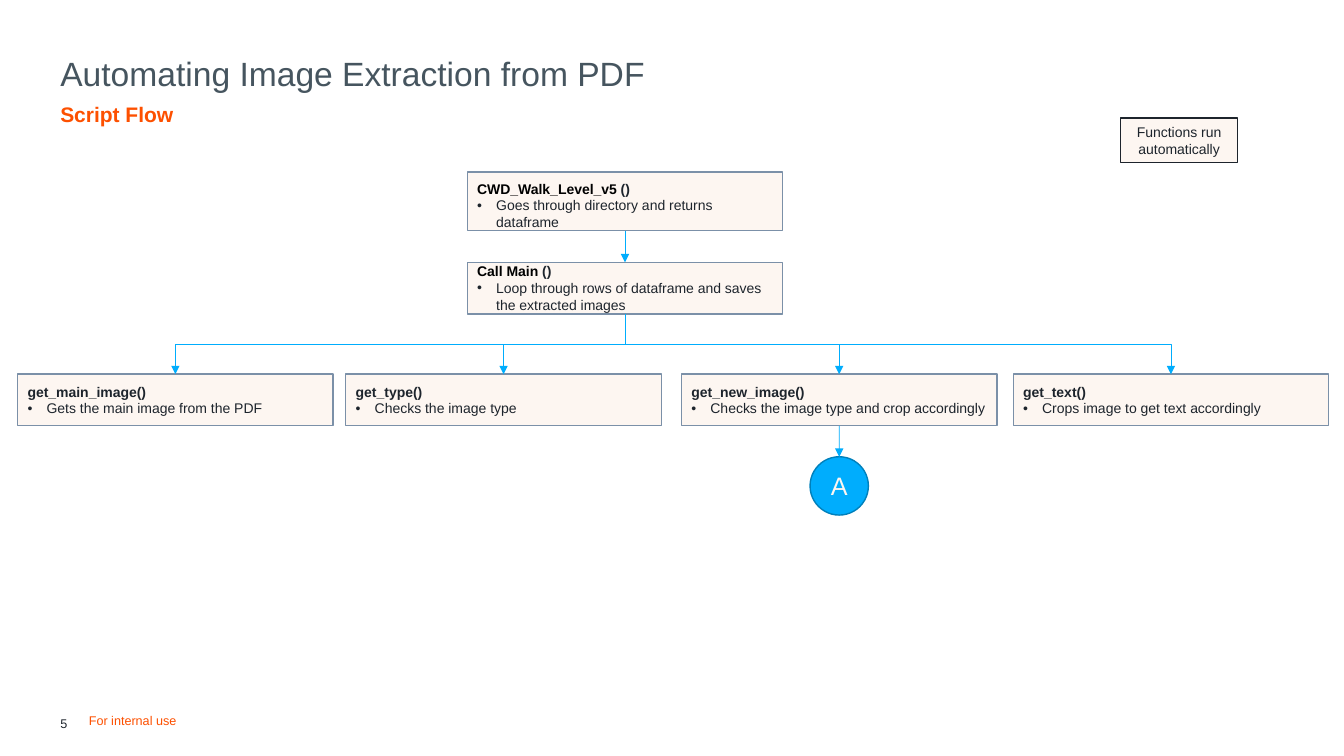
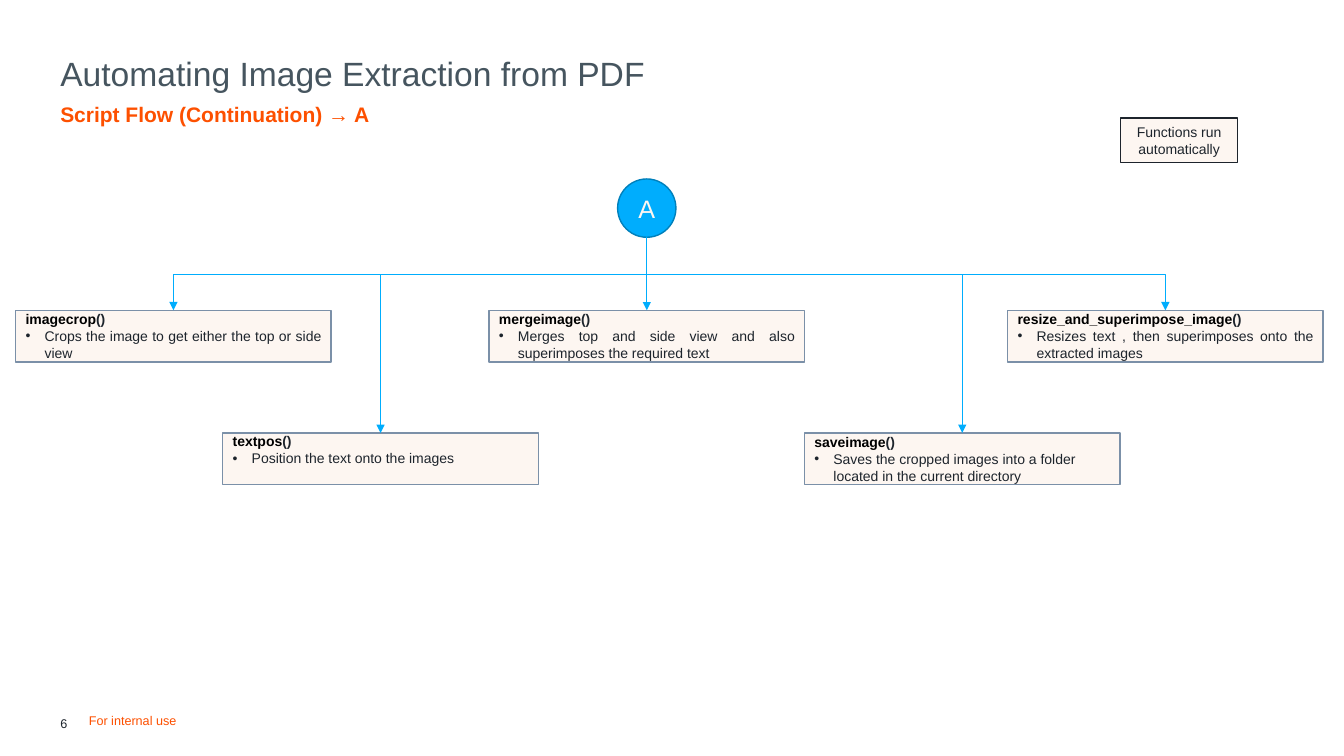
from dataclasses import dataclass

from lxml.etree import SubElement
from pptx import Presentation
from pptx.dml.color import RGBColor
from pptx.enum.shapes import MSO_CONNECTOR as Link, MSO_SHAPE as Preset
from pptx.enum.text import MSO_ANCHOR as Anchor, PP_ALIGN as Align
from pptx.oxml.ns import qn
from pptx.util import Cm, Pt

COLORS = {
    "title": "46555F",
    "accent": "FD5000",
    "ink": "1D242C",
    "black": "000000",
    "cream": "FDF6F1",
    "box_line": "7B90A8",
    "blue": "00ADFD",
    "blue_line": "0080BB",
}
FONT = "Arial"
TITLE = "Automating Image Extraction from PDF"
BOX_WIDTH = 7.95
BOX_HEIGHT = 1.3
CIRCLE_SIZE = 1.47
SIDE_INSET = 0.25
BULLET_INDENT = 0.48
RECT_BOTTOM, ELLIPSE_BOTTOM = 2, 4


@dataclass(frozen=True)
class Step:
    """A function box, placed by its centre line and top edge in cm."""
    name: str
    purpose: str
    center: float
    top: float
    height: float = BOX_HEIGHT
    name_color: str = "black"
    align: Align = Align.LEFT
    above: float = 0
    below: float = 0


CALLS_TOP = 9.43
WALK = Step("CWD_Walk_Level_v5 ", "Goes through directory and returns dataframe",
            15.75, 4.34, height=1.47, above=0.2)
MAIN = Step("Call Main ", "Loop through rows of dataframe and saves the extracted images",
            15.75, 6.61)
GET_NEW_IMAGE = Step("get_new_image", "Checks the image type and crop accordingly",
                     21.15, CALLS_TOP, name_color="ink")
OTHER_CALLS = [
    Step("get_main_image", "Gets the main image from the PDF", 4.42, CALLS_TOP, name_color="ink"),
    Step("get_type", "Checks the image type", 12.69, CALLS_TOP, name_color="ink"),
    Step("get_text", "Crops image to get text accordingly", 29.51, CALLS_TOP, name_color="ink"),
]

UPPER_TOP, LOWER_TOP = 7.82, 10.91
IMAGE_STEPS = [
    Step("imagecrop", "Crops the image to get either the top or side view",
         4.37, UPPER_TOP, align=Align.JUSTIFY),
    Step("textpos", "Position the text onto the images", 9.59, LOWER_TOP, below=0.45),
    Step("mergeimage", "Merges top and side view and also superimposes the required text",
         16.3, UPPER_TOP, align=Align.JUSTIFY),
    Step("saveimage", "Saves the cropped images into a folder located in the current directory",
         24.25, LOWER_TOP),
    Step("resize_and_superimpose_image",
         "Resizes text , then superimposes onto the extracted images",
         29.37, UPPER_TOP, align=Align.JUSTIFY),
]


def rgb(color: str) -> RGBColor:
    return RGBColor.from_string(COLORS[color])


def write(paragraph, text: str, *, size: float = 10, color: str = "ink",
          bold: bool = False, align: Align = Align.LEFT) -> None:
    paragraph.alignment = align
    run = paragraph.add_run()
    run.text = text
    run.font.name = FONT
    run.font.size = Pt(size)
    run.font.bold = bold
    run.font.color.rgb = rgb(color)


def set_frame(frame, anchor: Anchor, side: float = 0, above: float = 0, below: float = 0) -> None:
    frame.word_wrap = True
    frame.vertical_anchor = anchor
    frame.margin_left = frame.margin_right = Cm(side)
    frame.margin_top, frame.margin_bottom = Cm(above), Cm(below)


def add_label(slide, text: str, left: float, top: float, width: float, height: float, **style):
    """Add an inset-free text box and return its paragraph."""
    frame = slide.shapes.add_textbox(Cm(left), Cm(top), Cm(width), Cm(height)).text_frame
    set_frame(frame, Anchor.TOP)
    write(frame.paragraphs[0], text, **style)
    return frame.paragraphs[0]


def add_panel(slide, preset: Preset, left: float, top: float, width: float, height: float,
              fill: str, line: str):
    panel = slide.shapes.add_shape(preset, Cm(left), Cm(top), Cm(width), Cm(height))
    panel.shadow.inherit = False
    panel.fill.solid()
    panel.fill.fore_color.rgb = rgb(fill)
    panel.line.color.rgb = rgb(line)
    panel.line.width = Pt(1)
    return panel


def add_bullet(paragraph) -> None:
    properties = paragraph._p.get_or_add_pPr()
    properties.set("marL", str(Cm(BULLET_INDENT)))
    properties.set("indent", str(-Cm(BULLET_INDENT)))
    SubElement(properties, qn("a:buFont"), typeface=FONT)
    SubElement(properties, qn("a:buChar"), char="•")


def add_step(slide, step: Step):
    box = add_panel(slide, Preset.RECTANGLE, step.center - BOX_WIDTH / 2, step.top,
                    BOX_WIDTH, step.height, "cream", "box_line")
    frame = box.text_frame
    set_frame(frame, Anchor.MIDDLE, SIDE_INSET, step.above, step.below)
    heading = frame.paragraphs[0]
    write(heading, step.name, color=step.name_color, bold=True)
    write(heading, "()", bold=True)
    purpose = frame.add_paragraph()
    write(purpose, step.purpose, align=step.align)
    add_bullet(purpose)
    return box


def add_junction(slide, center: float, top: float):
    """Add the circle that carries the flow from one slide to the next."""
    circle = add_panel(slide, Preset.OVAL, center - CIRCLE_SIZE / 2, top,
                       CIRCLE_SIZE, CIRCLE_SIZE, "blue", "blue_line")
    set_frame(circle.text_frame, Anchor.MIDDLE)
    write(circle.text_frame.paragraphs[0], "A", size=18, color="cream", align=Align.CENTER)
    return circle


def add_arrow(slide, source, target, turn: float = 0, site: int = RECT_BOTTOM) -> None:
    """Link source's bottom to target's top, turning sideways `turn` cm below source."""
    start_x, start_y = source.left + source.width // 2, source.top + source.height
    end_x, end_y = target.left + target.width // 2, target.top
    across, down = end_x - start_x, end_y - start_y
    bent = abs(across) > Cm(0.05)
    arrow = slide.shapes.add_connector(Link.ELBOW if bent else Link.STRAIGHT,
                                       start_x, start_y, end_x, end_y)
    arrow.begin_connect(source, RECT_BOTTOM)
    arrow.end_connect(target, 0)
    arrow.element.find(".//" + qn("a:stCxn")).set("idx", str(site))
    properties = arrow.element.spPr
    if bent:
        # An elbow leaves sideways by default, so it is turned to leave downwards.
        arrow.width, arrow.height = down, abs(across)
        arrow.left = (start_x + end_x - down) // 2
        arrow.top = (start_y + end_y - abs(across)) // 2
        frame = properties.find(qn("a:xfrm"))
        frame.set("rot", str((270 if across > 0 else 90) * 60000))
        frame.set("flipH", "1" if across > 0 else "0")
        guides = properties.find(qn("a:prstGeom")).find(qn("a:avLst"))
        SubElement(guides, qn("a:gd"), name="adj1", fmla=f"val {round(Cm(turn) / down * 100000)}")
    arrow.line.color.rgb = rgb("blue")
    arrow.line.width = Pt(0.5)
    SubElement(properties.find(qn("a:ln")), qn("a:tailEnd"), type="triangle")
    SubElement(properties, qn("a:effectLst"))


def add_base_slide(deck, subtitle: str, number: int):
    """Add a slide with the title, subtitle, legend and footer that all slides share."""
    slide = deck.slides.add_slide(deck.slide_layouts[6])
    heading = add_label(slide, TITLE, 1.52, 1.45, 30.76, 0.92, size=24, color="title")
    heading.line_spacing = 0.9
    subheading = add_label(slide, subtitle, 1.52, 2.49, 30.76, 1.37,
                           size=15, color="accent", bold=True)
    subheading.line_spacing = 1.1
    subheading.space_before = Pt(5)
    add_label(slide, str(number), 1.52, 18.03, 0.71, 0.38, size=9)
    add_label(slide, "For internal use", 2.24, 17.96, 4.75, 0.38, size=9, color="accent")
    legend = add_panel(slide, Preset.RECTANGLE, 28.24, 2.97, 2.95, 1.12, "cream", "ink")
    set_frame(legend.text_frame, Anchor.MIDDLE, SIDE_INSET)
    write(legend.text_frame.paragraphs[0], "Functions run automatically", align=Align.CENTER)
    return slide


def build_script_flow(deck) -> None:
    slide = add_base_slide(deck, "Script Flow", 5)
    walk, main_call = add_step(slide, WALK), add_step(slide, MAIN)
    new_image = add_step(slide, GET_NEW_IMAGE)
    junction = add_junction(slide, GET_NEW_IMAGE.center, 11.51)
    add_arrow(slide, walk, main_call)
    for call in [new_image, *(add_step(slide, step) for step in OTHER_CALLS)]:
        add_arrow(slide, main_call, call, turn=0.76)
    add_arrow(slide, new_image, junction)


def build_continuation(deck) -> None:
    slide = add_base_slide(deck, "Script Flow (Continuation) → A", 6)
    junction = add_junction(slide, 16.3, 4.51)
    for step in IMAGE_STEPS:
        add_arrow(slide, junction, add_step(slide, step), turn=0.93, site=ELLIPSE_BOTTOM)


def main() -> None:
    deck = Presentation()
    deck.slide_width, deck.slide_height = Cm(33.87), Cm(19.05)
    build_script_flow(deck)
    build_continuation(deck)
    deck.save("out.pptx")


if __name__ == "__main__":
    main()
